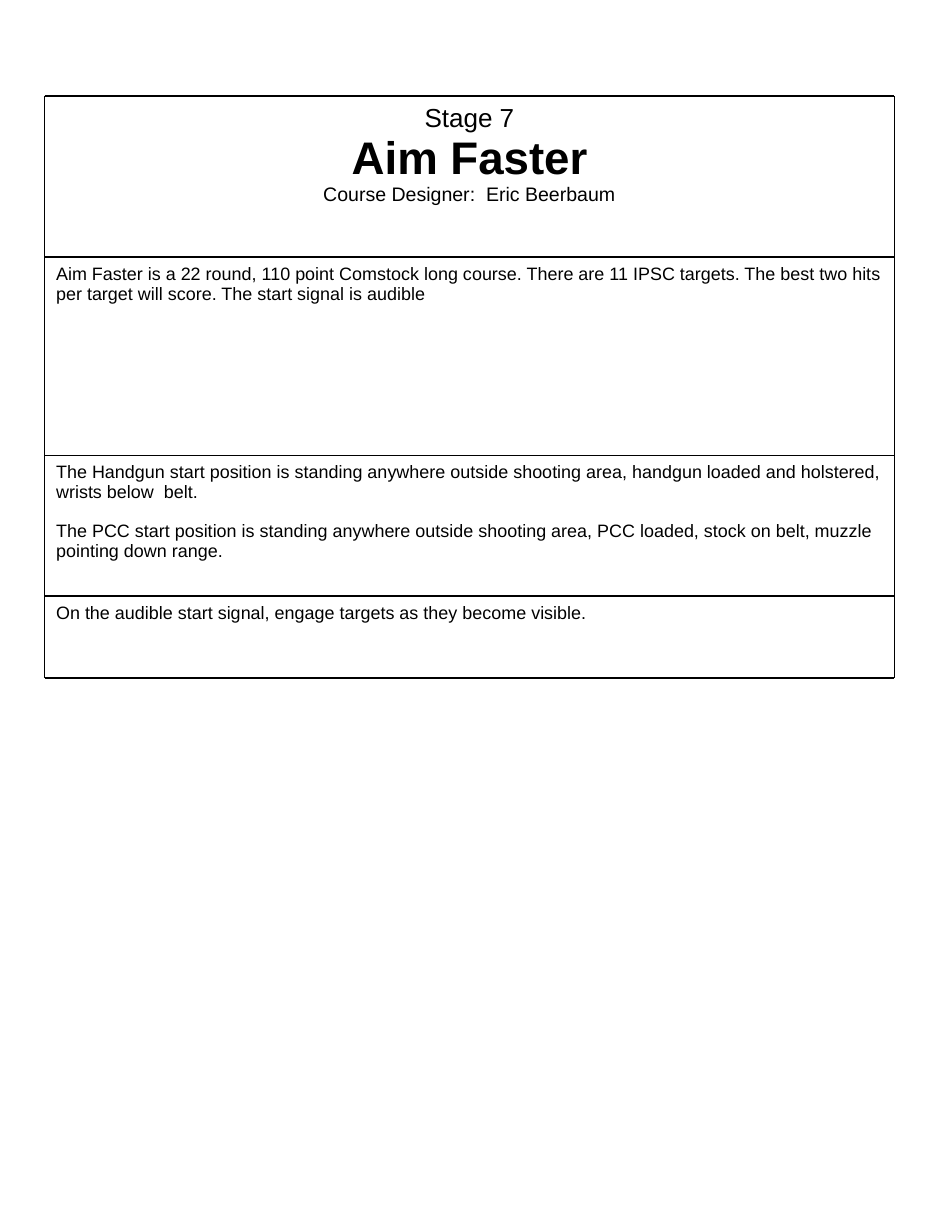
from itertools import pairwise

from lxml.etree import SubElement
from pptx import Presentation
from pptx.dml.color import RGBColor
from pptx.enum.shapes import MSO_CONNECTOR, MSO_SHAPE
from pptx.enum.text import MSO_ANCHOR, MSO_AUTO_SIZE, PP_ALIGN
from pptx.oxml.ns import qn
from pptx.util import Inches, Pt

HEADING = [
    ("Stage 7", "stage"),
    ("Aim Faster", "name"),
    ("Course Designer:  Eric Beerbaum", "designer"),
]
SECTIONS = [
    ["Aim Faster is a 22 round, 110 point Comstock long course. There are 11 IPSC "
     "targets. The best two hits per target will score. The start signal is audible"],
    ["The Handgun start position is standing anywhere outside shooting area, "
     "handgun loaded and holstered, wrists below  belt.",
     "The PCC start position is standing anywhere outside shooting area, "
     "PCC loaded, stock on belt, muzzle pointing down range."],
    ["On the audible start signal, engage targets as they become visible."],
]

THEME = {
    "font": "Arial",
    "ink": RGBColor(0, 0, 0),
    "paper": RGBColor(255, 255, 255),
    "sizes": {"stage": 16, "name": 28, "designer": 12, "body": 11},
    "line_spacing": 0.93,
    "paragraph_gap": 12,
    "rule": 0.91,
}
LEFT, RIGHT = 0.38, 7.62
ROW_EDGES = [0.82, 2.19, 3.88, 5.08, 5.78]


def fill_cell(cell, row, paragraphs, align, top_inset):
    """Place a cell in its row and write its (text, size name) paragraphs."""
    top, bottom = ROW_EDGES[row:row + 2]
    cell.left, cell.top = Inches(LEFT), Inches(top)
    cell.width, cell.height = Inches(RIGHT - LEFT), Inches(bottom - top)
    cell.fill.solid()
    cell.fill.fore_color.rgb = THEME["paper"]
    cell.line.fill.background()

    frame = cell.text_frame
    frame.word_wrap = True
    frame.auto_size = MSO_AUTO_SIZE.NONE
    frame.vertical_anchor = MSO_ANCHOR.TOP
    frame.margin_left = frame.margin_right = Inches(0.1)
    frame.margin_top, frame.margin_bottom = Inches(top_inset), Inches(0.05)
    for index, (text, size) in enumerate(paragraphs):
        paragraph = frame.paragraphs[0] if index == 0 else frame.add_paragraph()
        paragraph.text = text
        paragraph.alignment = align
        paragraph.line_spacing = THEME["line_spacing"]
        if index and size == "body":
            paragraph.space_before = Pt(THEME["paragraph_gap"])
        paragraph.font.name = THEME["font"]
        paragraph.font.size = Pt(THEME["sizes"][size])
        paragraph.font.bold = size == "name"
        paragraph.font.color.rgb = THEME["ink"]


def add_rule(slide, x1, y1, x2, y2):
    rule = slide.shapes.add_connector(
        MSO_CONNECTOR.STRAIGHT, Inches(x1), Inches(y1), Inches(x2), Inches(y2))
    rule.line.color.rgb = THEME["ink"]
    rule.line.width = Pt(THEME["rule"])
    SubElement(rule._element.spPr, qn("a:effectLst"))


def main():
    presentation = Presentation()
    presentation.slide_width, presentation.slide_height = Inches(8), Inches(10.5)
    slide = presentation.slides.add_slide(presentation.slide_layouts[5])

    fill_cell(slide.shapes.title, 0, HEADING, PP_ALIGN.CENTER, 0.07)
    for row, section in enumerate(SECTIONS, start=1):
        cell = slide.shapes.add_shape(MSO_SHAPE.RECTANGLE, 0, 0, 0, 0)
        cell.shadow.inherit = False
        paragraphs = [(text, "body") for text in section]
        fill_cell(cell, row, paragraphs, PP_ALIGN.LEFT, 0.06)

    for edge in ROW_EDGES:
        add_rule(slide, LEFT, edge, RIGHT, edge)
    for side in (LEFT, RIGHT):
        for top, bottom in pairwise(ROW_EDGES):
            add_rule(slide, side, top, side, bottom)

    presentation.save("out.pptx")


if __name__ == "__main__":
    main()
